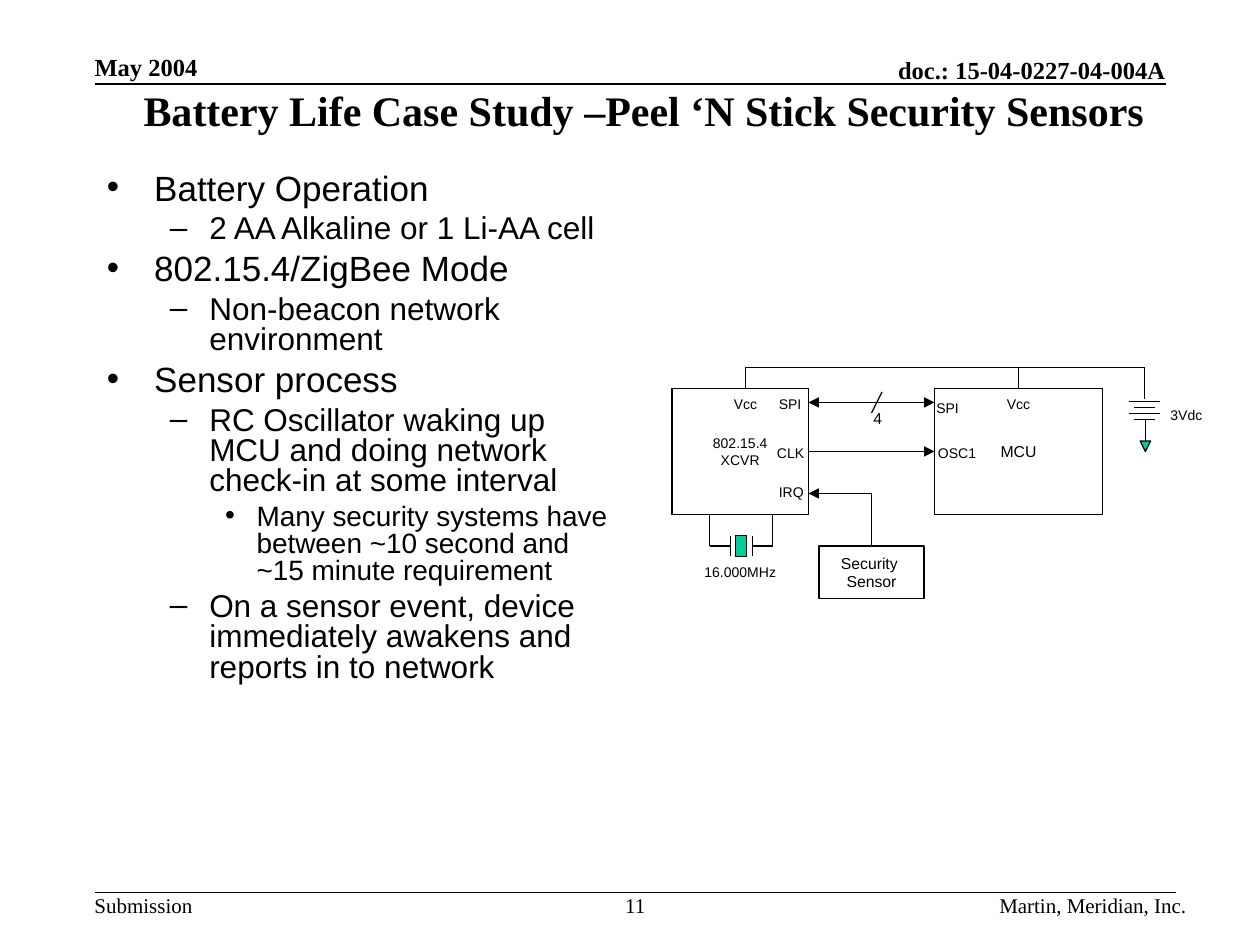
from lxml import etree
from pptx import Presentation
from pptx.dml.color import RGBColor
from pptx.enum.shapes import MSO_CONNECTOR, MSO_SHAPE
from pptx.enum.text import MSO_ANCHOR, PP_ALIGN
from pptx.oxml.ns import qn
from pptx.util import Pt

LEFT, CENTER, RIGHT = PP_ALIGN.LEFT, PP_ALIGN.CENTER, PP_ALIGN.RIGHT
TOP, MIDDLE, BOTTOM = MSO_ANCHOR.TOP, MSO_ANCHOR.MIDDLE, MSO_ANCHOR.BOTTOM
RECTANGLE, TRIANGLE = MSO_SHAPE.RECTANGLE, MSO_SHAPE.ISOSCELES_TRIANGLE
STRAIGHT = MSO_CONNECTOR.STRAIGHT

COLOURS = {"ink": "000000", "paper": "FFFFFF", "accent": "00CC99"}
SERIF, SANS = "Times New Roman", "Arial"
TOP_SIDE, LEFT_SIDE, RIGHT_SIDE = 0, 1, 3

# One entry per outline level: bullet, text indent, hanging indent, size, space before
LEVELS = [
    ("•", 27, 27, 20, 5),
    ("–", 58.5, 22.5, 18, 4.5),
    ("•", 85.5, 18, 16, 4),
]
OUTLINE = [
    (0, "Battery Operation"),
    (1, "2 AA Alkaline or 1 Li-AA cell"),
    (0, "802.15.4/ZigBee Mode"),
    (1, "Non-beacon network environment"),
    (0, "Sensor process"),
    (1, "RC Oscillator waking up MCU and doing network check-in at some interval"),
    (2, "Many security systems have between ~10 second and ~15 minute requirement"),
    (1, "On a sensor event, device immediately awakens and reports in to network"),
]
# Text, left, top, width, size, alignment
LABELS = [
    ("Vcc", 30, 12, 24, 8, CENTER),
    ("Vcc", 186, 12, 24, 8, CENTER),
    ("SPI", 61, 12, 24, 8, LEFT),
    ("SPI", 151, 14, 24, 8, LEFT),
    ("CLK", 60, 40, 24, 8, LEFT),
    ("OSC1", 152, 40, 30, 8, LEFT),
    ("IRQ", 61, 62, 24, 8, LEFT),
    ("4", 115, 20, 24, 9, LEFT),
    ("3Vdc", 279, 18, 30, 8, CENTER),
    ("16.000MHz", 12, 108, 54, 8, CENTER),
]


def colour(name):
    return RGBColor.from_string(COLOURS[name])


def write(para, text, font=SANS, size=8, bold=False, align=LEFT):
    para.alignment = align
    span = para.add_run()
    span.text = text
    span.font.name = font
    span.font.size = Pt(size)
    span.font.bold = bold
    span.font.color.rgb = colour("ink")


def fill_frame(shape, text, anchor=TOP, wrap=True, padded=True, **style):
    """Write each line of text as a paragraph of the shape."""
    frame = shape.text_frame
    frame.word_wrap = wrap
    frame.vertical_anchor = anchor
    frame.margin_left = frame.margin_right = Pt(7.2 if padded else 0)
    frame.margin_top = frame.margin_bottom = Pt(3.6 if padded else 0)
    for index, line in enumerate(text.split("\n")):
        para = frame.add_paragraph() if index else frame.paragraphs[0]
        write(para, line, **style)


def add_text(page, text, left, top, width, height, **style):
    box = page.shapes.add_textbox(Pt(left), Pt(top), Pt(width), Pt(height))
    fill_frame(box, text, **style)


def add_solid(page, kind, left, top, width, height, fill):
    shape = page.shapes.add_shape(kind, Pt(left), Pt(top), Pt(width), Pt(height))
    shape.shadow.inherit = False
    shape.fill.solid()
    shape.fill.fore_color.rgb = colour(fill)
    shape.line.color.rgb = colour("ink")
    shape.line.width = Pt(0.75)
    return shape


def add_block(page, text, left, top, width, height, size):
    block = add_solid(page, RECTANGLE, left, top, width, height, "paper")
    fill_frame(block, text, anchor=MIDDLE, wrap=False, size=size, align=CENTER)
    return block


def add_line(page, x1, y1, x2, y2, weight=0.75, arrows=()):
    """Draw a straight line; arrows may name headEnd (start) and tailEnd (end)."""
    line = page.shapes.add_connector(STRAIGHT, Pt(x1), Pt(y1), Pt(x2), Pt(y2))
    line.line.color.rgb = colour("ink")
    line.line.width = Pt(weight)
    for end in arrows:
        etree.SubElement(line.line._get_or_add_ln(), qn(f"a:{end}"), type="triangle")
    etree.SubElement(line._element.spPr, qn("a:effectLst"))
    return line


def add_header(page, left, top, width):
    style = {"font": SERIF, "size": 14, "bold": True, "anchor": BOTTOM, "padded": False}
    add_text(page, "May 2004", left, top, 126, 16.5, **style)
    add_text(page, "doc.: 15-04-0227-04-004A", left + width - 312, top + 1.5,
             312, 16.5, align=RIGHT, **style)
    add_line(page, left, top + 18, left + width, top + 18, weight=1)


def add_footer(page, left, top, width):
    style = {"font": SERIF, "size": 12, "padded": False}
    add_line(page, left, top, left + width, top, weight=1)
    add_text(page, "Submission", left, top, 56, 14.5, **style)
    add_text(page, "11", left + 288, top, 42, 14.5, align=CENTER, **style)
    add_text(page, "Martin, Meridian, Inc.", left + 378, top, 246, 14.5,
             align=RIGHT, **style)


def add_outline(page, left, top, width, height):
    box = page.shapes.add_textbox(Pt(left), Pt(top), Pt(width), Pt(height))
    frame = box.text_frame
    frame.word_wrap = True
    for index, (level, text) in enumerate(OUTLINE):
        bullet, indent, hanging, size, gap = LEVELS[level]
        para = frame.add_paragraph() if index else frame.paragraphs[0]
        para.level = level
        props = para._p.get_or_add_pPr()
        props.set("marL", str(Pt(indent)))
        props.set("indent", str(-Pt(hanging)))
        etree.SubElement(props, qn("a:buFont"), typeface=SANS)
        etree.SubElement(props, qn("a:buChar"), char=bullet)
        para.line_spacing = 0.8
        para.space_before = Pt(gap if index else 0)
        write(para, text, size=size)


def add_crystal(page, left, top, width):
    """Hang the crystal between two leads that drop from the given top."""
    middle, right = top + 18, left + width
    plates = (left + 12, right - 11.5)
    add_solid(page, RECTANGLE, left + 15, middle - 6, 6, 12, "accent")
    for lead, plate in zip((left, right), plates):
        add_line(page, plate, middle - 6, plate, middle + 6)
        add_line(page, plate, middle, lead, middle)
        add_line(page, lead, middle, lead, top)


def add_battery(page, left, top, width):
    middle = left + width / 2 + 0.5
    for row in range(4):
        inset = 3 * (row % 2)
        y = top + 3.4 * row
        add_line(page, left + inset, y, left + width - inset, y)
    add_line(page, middle, top + 10.2, middle, top + 22.5)
    ground = add_solid(page, TRIANGLE, middle - 3, top + 22.5, 6, 6, "accent")
    ground.rotation = 180


def add_circuit(page, left, top):
    def wire(x1, y1, x2, y2, *arrows):
        return add_line(page, left + x1, top + y1, left + x2, top + y2, arrows=arrows)

    radio = add_block(page, "802.15.4\nXCVR", left, top + 12, 78, 72, 8)
    controller = add_block(page, "MCU", left + 150, top + 12, 96, 72, 9)
    sensor = add_block(page, "Security \nSensor", left + 84, top + 102, 60, 30, 9)

    wire(42, 0, 270, 0)
    wire(42, 0, 42, 12)
    wire(198, 0, 198, 12).end_connect(controller, TOP_SIDE)
    wire(270, 0, 270, 18)

    wire(78, 20, 150, 20, "headEnd", "tailEnd")
    wire(120, 14, 114, 26)
    clock = wire(78, 48, 150, 48, "tailEnd")
    clock.begin_connect(radio, RIGHT_SIDE)
    clock.end_connect(controller, LEFT_SIDE)
    wire(114, 72, 78, 72, "tailEnd")
    wire(114, 72, 114, 102).end_connect(sensor, TOP_SIDE)

    add_crystal(page, left + 21.5, top + 84, 36)
    add_battery(page, left + 261, top + 19.5, 18)
    for text, x, y, width, size, align in LABELS:
        add_text(page, text, left + x, top + y, width, 18, anchor=MIDDLE,
                 wrap=False, padded=False, size=size, align=align)


def main():
    deck = Presentation()
    deck.slide_width, deck.slide_height = Pt(720), Pt(540)
    page = deck.slides.add_slide(deck.slide_layouts[6])
    add_header(page, 54, 30, 612)
    add_text(page, "Battery Life Case Study –Peel ‘N Stick Security Sensors",
             52, 45, 632, 36, font=SERIF, size=24, bold=True, align=CENTER)
    add_outline(page, 54, 96, 306, 384)
    add_circuit(page, 384, 210)
    add_footer(page, 54, 510, 618)
    deck.save("out.pptx")


if __name__ == "__main__":
    main()
